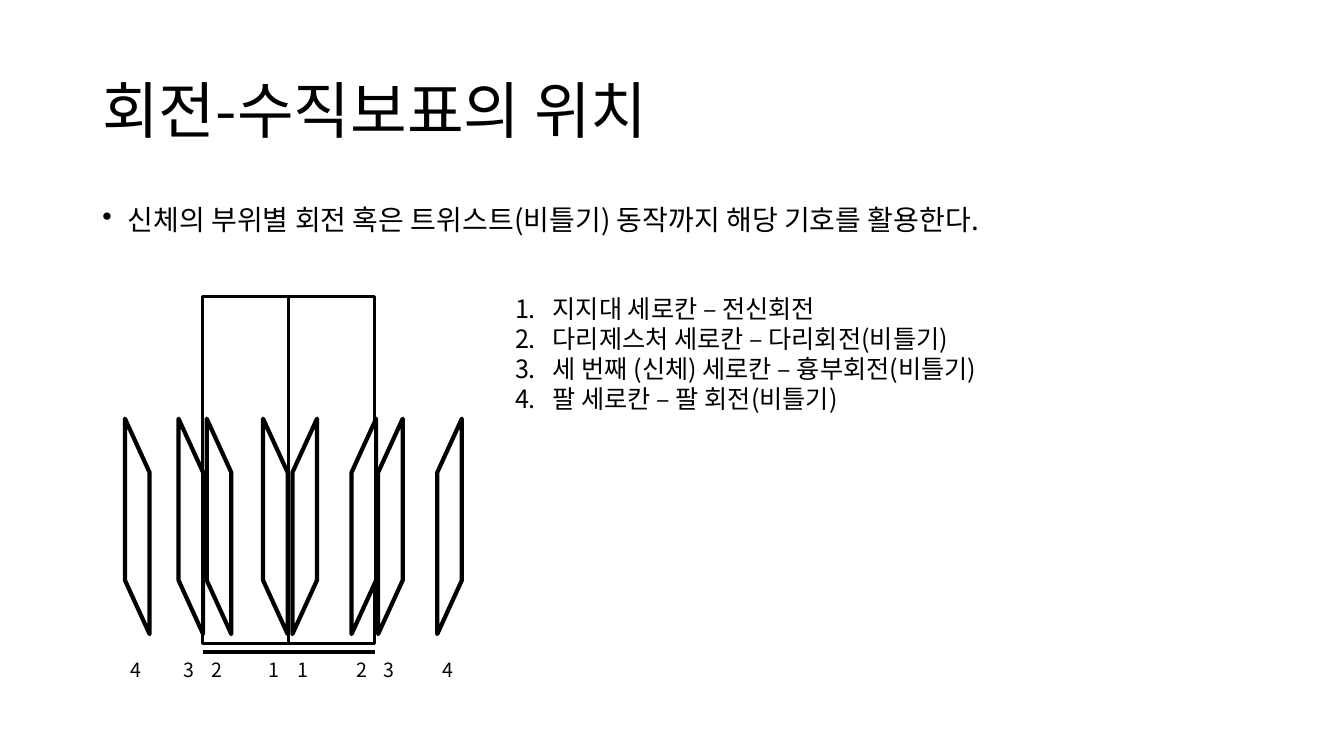
from dataclasses import dataclass

from lxml.etree import SubElement
from pptx import Presentation
from pptx.dml.color import RGBColor
from pptx.enum.shapes import MSO_CONNECTOR as Connector, MSO_SHAPE as Shape
from pptx.enum.text import MSO_ANCHOR as Anchor, MSO_AUTO_SIZE as AutoSize
from pptx.oxml.ns import qn
from pptx.util import Cm, Pt


@dataclass(frozen=True)
class Theme:
    font: str = "Noto Sans CJK KR"
    ink: RGBColor = RGBColor(0, 0, 0)
    paper: RGBColor = RGBColor(255, 255, 255)
    title: float = 44
    body: float = 20
    item: float = 18
    label: float = 14
    staff_line: float = 2.25
    sign_line: float = 3


THEME = Theme()
TITLE = "회전-수직보표의 위치"
BODY = "신체의 부위별 회전 혹은 트위스트(비틀기) 동작까지 해당 기호를 활용한다."
COLUMNS = [
    "지지대 세로칸 – 전신회전",
    "다리제스처 세로칸 – 다리회전(비틀기)",
    "세 번째 (신체) 세로칸 – 흉부회전(비틀기)",
    "팔 세로칸 – 팔 회전(비틀기)",
]
# Left edges of signs 1 to 4, in cm from the centre line of the staff
LEFT_SIGNS = [-0.65, -2.07, -2.78, -4.13]
RIGHT_SIGNS = [0.09, 1.58, 2.25, 3.74]


def add_bullet(para, tag, indent, **attributes):
    properties = para._p.get_or_add_pPr()
    properties.set("marL", str(Cm(indent)))
    properties.set("indent", str(Cm(-indent)))
    SubElement(properties, qn(f"a:{tag}"), attributes)


def add_text(shapes, lines, left, top, width, height, size, wrap=True,
             anchor=Anchor.TOP, spacing=None, bullet=None):
    """Place one paragraph per line; bullet holds add_bullet's keywords."""
    box = shapes.add_textbox(Cm(left), Cm(top), Cm(width), Cm(height))
    frame = box.text_frame
    frame.word_wrap = wrap
    frame.auto_size = AutoSize.NONE if wrap else AutoSize.SHAPE_TO_FIT_TEXT
    frame.vertical_anchor = anchor
    for number, line in enumerate(lines):
        para = frame.add_paragraph() if number else frame.paragraphs[0]
        if bullet:
            add_bullet(para, **bullet)
        if spacing:
            para.line_spacing = spacing
        span = para.add_run()
        span.text = line
        span.font.size = Pt(size)
        span.font.color.rgb = THEME.ink
        span.font.name = THEME.font
        SubElement(span.font._element, qn("a:ea"), typeface=THEME.font)


def paint(shape, line_width):
    shape.shadow.inherit = False
    shape.fill.solid()
    shape.fill.fore_color.rgb = THEME.paper
    shape.line.color.rgb = THEME.ink
    shape.line.width = Pt(line_width)


def add_turn_sign(shapes, left, top, width, height, rises_right):
    """Draw a slanted sign whose upper tip is on the right or on the left."""
    high, low = (left + width, left) if rises_right else (left, left + width)
    step = height / 4
    corners = [(high, top), (low, top + step),
               (low, top + height), (high, top + 3 * step)]
    points = [(Cm(x), Cm(y)) for x, y in corners]
    builder = shapes.build_freeform(*points[0])
    builder.add_line_segments(points[1:], close=True)
    paint(builder.convert_to_shape(), THEME.sign_line)


def add_staff(shapes, left, top, width, height):
    """Draw the two support columns and the base line below them."""
    column = width / 2
    for index in range(2):
        paint(shapes.add_shape(Shape.RECTANGLE, Cm(left + index * column), Cm(top),
                               Cm(column), Cm(height)), THEME.staff_line)
    base = Cm(top + height + 0.22)
    line = shapes.add_connector(Connector.STRAIGHT, Cm(left), base,
                                Cm(left + width), base)
    line.line.color.rgb = THEME.ink
    line.line.width = Pt(THEME.staff_line)
    SubElement(line._element.spPr, qn("a:effectLst"))


def add_notation(page, left, top, width, height):
    """Draw the staff with numbered turn signs on both sides of its centre."""
    shapes = page.shapes.add_group_shape().shapes
    centre = left + width / 2
    staff_width, staff_height = 4.34, 8.74
    sign_width, sign_height = 0.62, 5.43
    label_width, label_height = 0.86, 0.94
    add_staff(shapes, centre - staff_width / 2, top, staff_width, staff_height)
    for offsets, rises_right in ((LEFT_SIGNS, False), (RIGHT_SIGNS, True)):
        for number, offset in enumerate(offsets, start=1):
            sign_left = centre + offset
            add_turn_sign(shapes, sign_left, top + 3.08, sign_width, sign_height,
                          rises_right)
            add_text(shapes, [str(number)],
                     sign_left + (sign_width - label_width) / 2,
                     top + height - label_height, label_width, label_height,
                     THEME.label, wrap=False)


def add_heading(page, left, top, width, height):
    title_height, gap = 3.68, 0.38
    add_text(page.shapes, [TITLE], left, top, width, title_height, THEME.title,
             anchor=Anchor.MIDDLE, spacing=0.9)
    body_top = title_height + gap
    add_text(page.shapes, [BODY], left, top + body_top, width, height - body_top,
             THEME.body, spacing=0.9,
             bullet={"tag": "buChar", "indent": 0.64, "char": "•"})


def add_column_list(page, left, top, width, height):
    add_text(page.shapes, COLUMNS, left, top, width, height, THEME.item, wrap=False,
             bullet={"tag": "buAutoNum", "indent": 0.95, "type": "arabicPeriod"})


def main():
    deck = Presentation()
    deck.slide_width, deck.slide_height = Cm(33.87), Cm(19.05)
    page = deck.slides.add_slide(deck.slide_layouts[6])
    add_heading(page, 2.33, 1.01, 29.21, 16.15)
    add_notation(page, 2.93, 7.47, 8.7, 9.93)
    add_column_list(page, 12.73, 7.26, 13.34, 3.33)
    deck.save("out.pptx")


if __name__ == "__main__":
    main()
